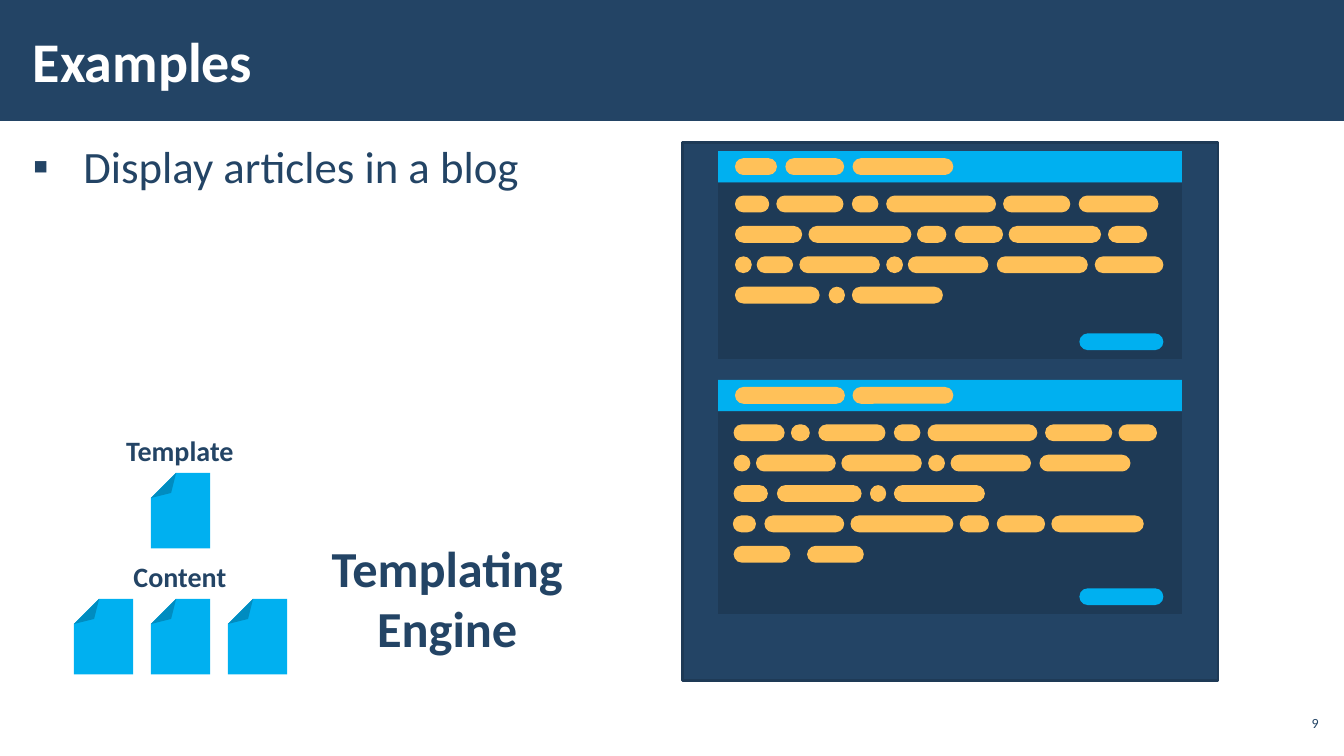
from pptx import Presentation
from pptx.dml.color import RGBColor
from pptx.enum.shapes import MSO_SHAPE
from pptx.enum.text import MSO_ANCHOR, PP_ALIGN
from pptx.oxml.ns import qn
from pptx.util import Pt
from lxml import etree

RECT, PILL, FOLD = MSO_SHAPE.RECTANGLE, MSO_SHAPE.ROUNDED_RECTANGLE, MSO_SHAPE.FOLDED_CORNER
MIDDLE, TOP = MSO_ANCHOR.MIDDLE, MSO_ANCHOR.TOP
LEFT, CENTER, RIGHT = PP_ALIGN.LEFT, PP_ALIGN.CENTER, PP_ALIGN.RIGHT

NAVY, DARK, CYAN, AMBER, WHITE = "234465", "1E3A56", "00B0F0", "FFC159", "FFFFFF"
FONT = "Calibri"

CARD_X, CARD_W, HEAD_H = 513, 331.2, 22.4
PILL_H, ROW_GAP, ROW_TOP = 12, 21.7, 31.7

CARDS = [
    {"top": 108, "body": 126,
     "title": [(12, 30), (48, 42), (96, 72)],
     "rows": [
         [(12, 24.5), (41.5, 48), (95.5, 19), (120, 78.5), (203.5, 48), (257.5, 57)],
         [(12, 48), (64.5, 73.5), (142, 21), (169, 34.5), (207.5, 66), (278.5, 28)],
         [(12, 12), (27.5, 26), (58, 57.5), (120, 12), (135.5, 57.5), (199, 65), (269, 49)],
         [(12, 60.5), (79, 11.5), (95.5, 65)],
     ]},
    {"top": 271.4, "body": 144.7,
     "title": [(12, 78.5), (96, 72)],
     "rows": [
         [(11, 36.5), (52, 13.5), (71.5, 48), (125.5, 19), (149.5, 78.5), (233.5, 48),
          (286, 27.5)],
         [(11, 12), (27, 57), (88, 57.5), (150, 12), (166, 57.5), (229.5, 65)],
         [(11, 24.5), (42, 60.5), (108.5, 11.5), (125.5, 65)],
         [(10.5, 16.5), (33, 57), (94.5, 73.5), (172.5, 21), (199, 34.5), (238, 66)],
         [(11, 40.5), (63.5, 40.5)],
     ]},
]


def color(code):
    """Turn a hex string into a colour."""
    return RGBColor.from_string(code)


def adjust(item, value):
    """Set the first adjustment of a preset shape."""
    guides = item._element.spPr.find(qn("a:prstGeom")).get_or_add_avLst()
    for guide in list(guides):
        guides.remove(guide)
    guide = etree.SubElement(guides, qn("a:gd"))
    guide.set("name", "adj")
    guide.set("fmla", f"val {round(value * 100000)}")


def shape(shapes, kind, box, fill, line=None):
    """Add a flat filled shape."""
    item = shapes.add_shape(kind, *map(Pt, box))
    item.shadow.inherit = False
    item.fill.solid()
    item.fill.fore_color.rgb = color(fill)
    if line:
        item.line.color.rgb = color(line)
        item.line.width = Pt(2)
    else:
        item.line.fill.background()
    return item


def text(shapes, box, words, size, tone=NAVY, bold=False, align=LEFT,
         anchor=TOP, inset=(7.2, 3.6), bullet=None):
    """Add a text box with one paragraph."""
    frame = shapes.add_textbox(*map(Pt, box)).text_frame
    side, edge = map(Pt, inset)
    apply(frame, {"word_wrap": True, "vertical_anchor": anchor,
                  "margin_left": side, "margin_right": side,
                  "margin_top": edge, "margin_bottom": edge})
    para = frame.paragraphs[0]
    para.alignment = align
    if bullet:
        apply(para, {"line_spacing": 1.05, "space_after": Pt(6)})
        props = para._p.get_or_add_pPr()
        props.set("marL", str(Pt(36)))
        props.set("indent", str(-Pt(36)))
        etree.SubElement(props, qn("a:buFont")).set("typeface", FONT)
        etree.SubElement(props, qn("a:buChar")).set("char", bullet)
    run = para.add_run()
    run.text = words
    apply(run.font, {"name": FONT, "size": Pt(size), "bold": bold})
    run.font.color.rgb = color(tone)


def apply(target, values):
    """Set each named attribute on the target."""
    for name, value in values.items():
        setattr(target, name, value)


def page(shapes, left, top):
    """Add a page icon with its corner folded."""
    icon = shape(shapes, FOLD, (left, top, 42.3, 54), CYAN)
    icon.rotation = 180
    adjust(icon, 0.425)


def pills(shapes, top, row, fill=AMBER):
    """Add a row of pills that stand for words."""
    for left, width in row:
        adjust(shape(shapes, PILL, (CARD_X + left, top, width, PILL_H), fill), 0.5)


def card(shapes, top, body, title, rows):
    """Add one article card as a group."""
    group = shapes.add_group_shape().shapes
    shape(group, RECT, (CARD_X, top + HEAD_H, CARD_W, body), DARK)
    shape(group, RECT, (CARD_X, top, CARD_W, HEAD_H), CYAN)
    pills(group, top + HEAD_H + body - 18.3, [(258, 60)], CYAN)
    pills(group, top + 5, title)
    for index, row in enumerate(rows):
        pills(group, top + ROW_TOP + index * ROW_GAP, row)


def main():
    """Build the slide and save it."""
    deck = Presentation()
    apply(deck, {"slide_width": Pt(960), "slide_height": Pt(540)})
    shapes = deck.slides.add_slide(deck.slide_layouts[6]).shapes

    shape(shapes, RECT, (0, 0, 960, 86.4), NAVY)
    text(shapes, (15, 8, 748, 70), "Examples", 40, WHITE, True,
         anchor=MIDDLE, inset=(8.5, 3))
    text(shapes, (15, 94.5, 930, 409.5), "Display articles in a blog", 32,
         inset=(8.5, 3), bullet="▪")
    text(shapes, (911, 504, 34, 24.5), "9", 10, align=RIGHT, anchor=MIDDLE, inset=(3, 3))

    for label, top, slots in (("Template", 306, [0]), ("Content", 396, [-1, 0, 1])):
        text(shapes, (77.5, top, 102, 31.7), label, 20, bold=True, align=CENTER)
        for slot in slots:
            page(shapes, 107.8 + slot * 55, top + 31.7)
    text(shapes, (222, 380, 195, 94.5), "Templating Engine", 36, bold=True, align=CENTER)

    shape(shapes, RECT, (487.5, 102, 382.5, 384), NAVY, DARK)
    for article in CARDS:
        card(shapes, **article)

    deck.save("out.pptx")


if __name__ == "__main__":
    main()
